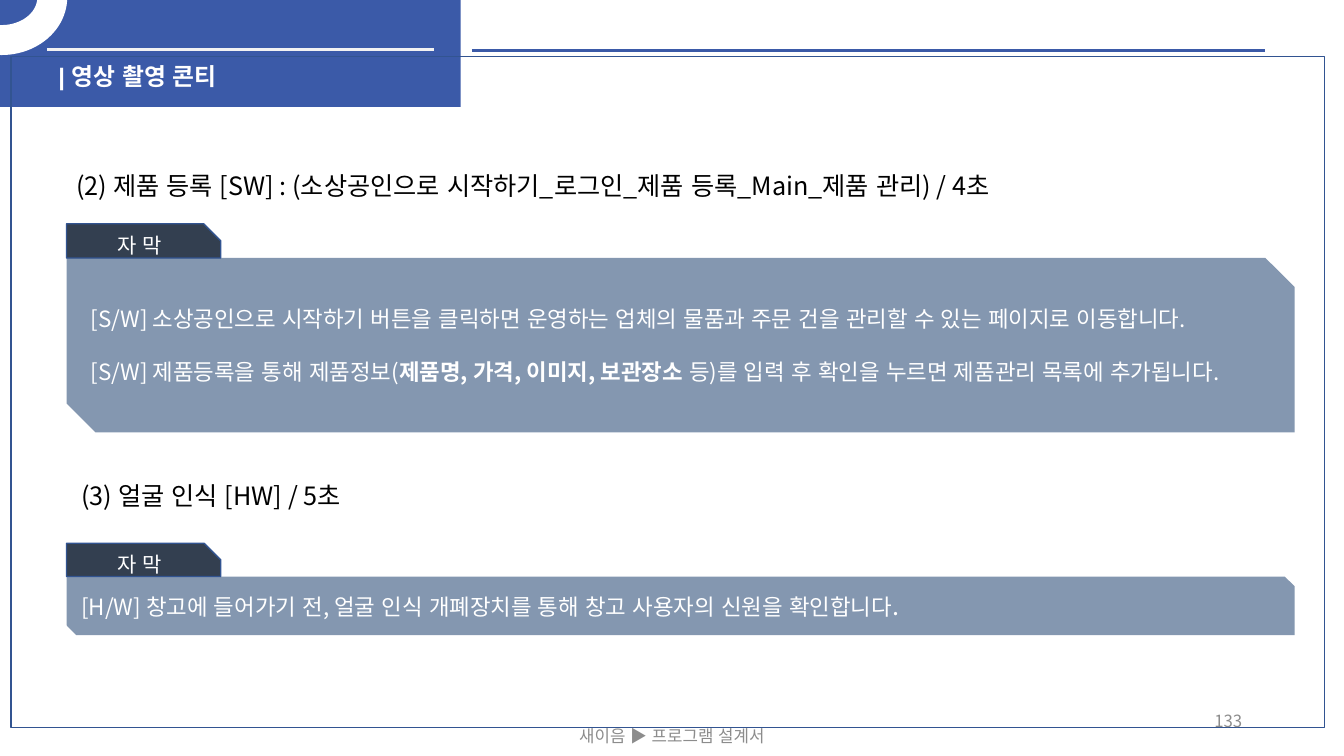
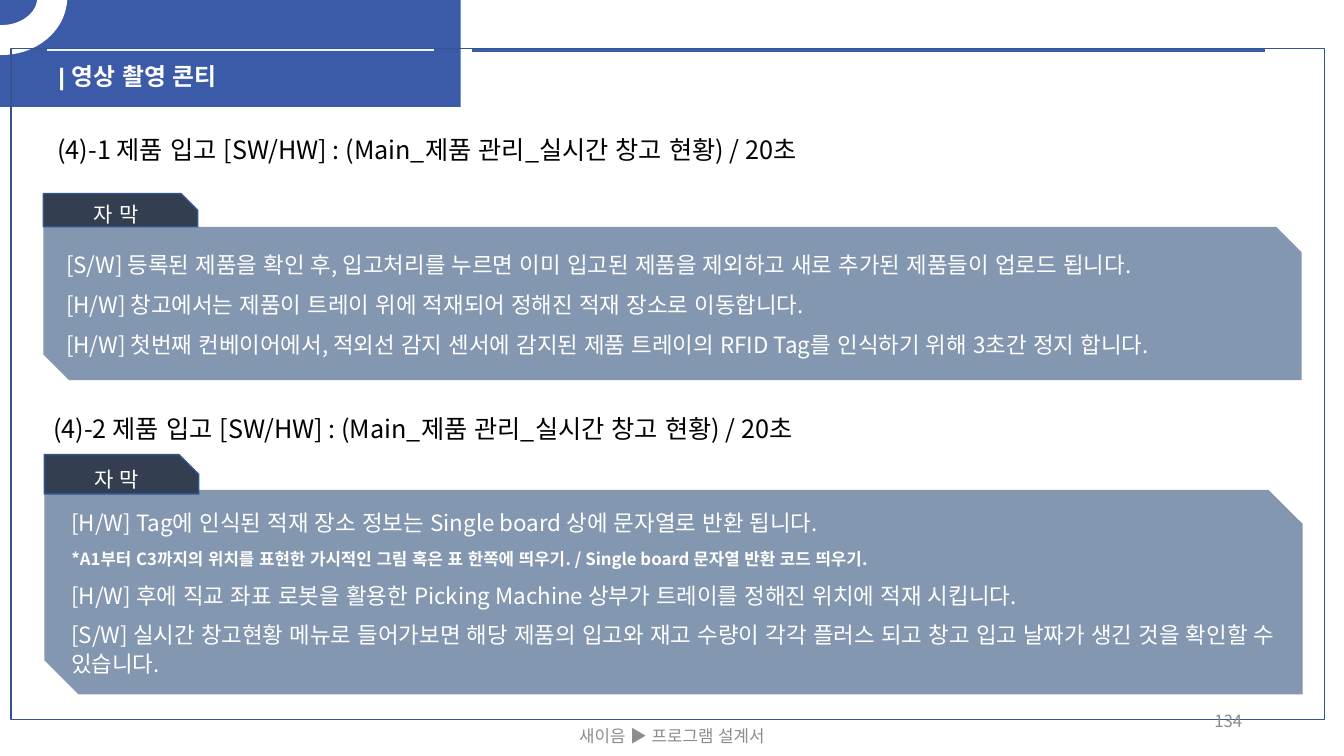
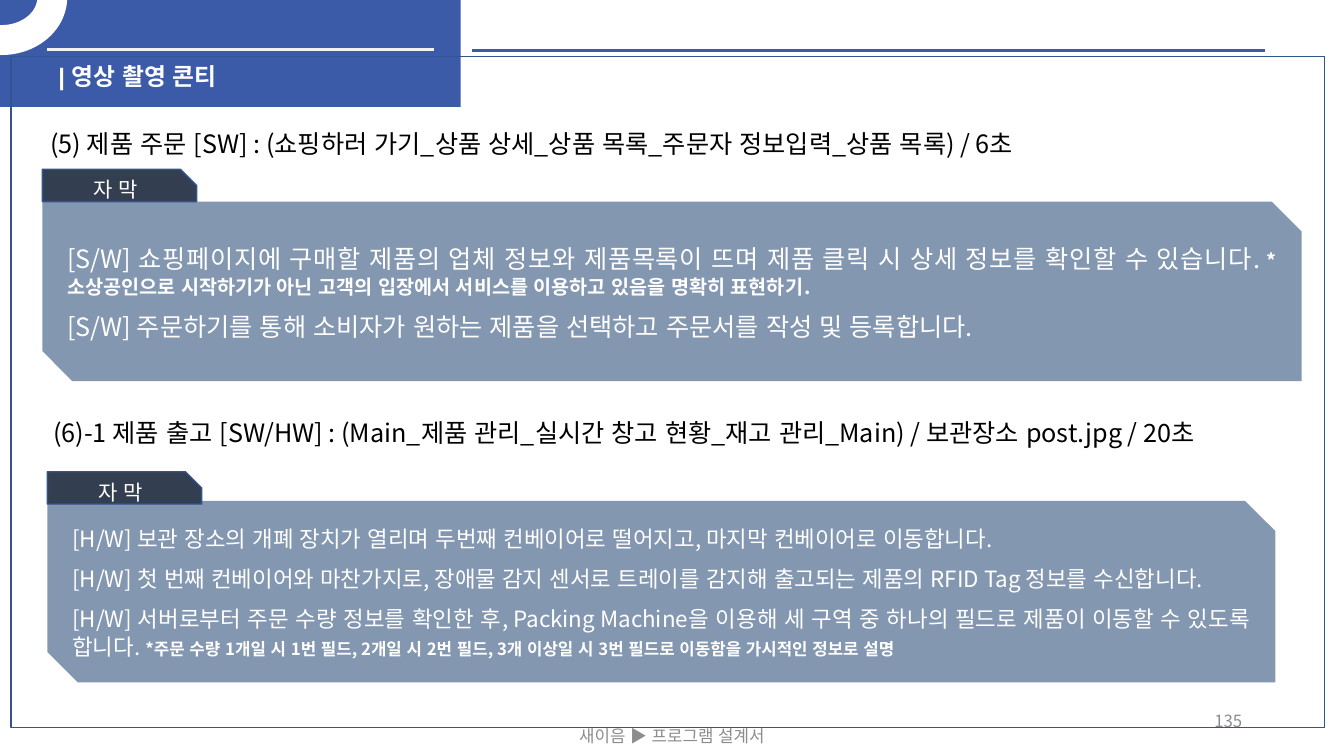
from lxml import etree
from pptx import Presentation
from pptx.dml.color import RGBColor
from pptx.enum import lang, shapes, text
from pptx.oxml import ns
from pptx.util import Inches, Pt

SANS = "Noto Sans CJK KR"
BLUE, EDGE, NAVY, SLATE = "3B5AA8", "325491", "333F50", "8497B0"
WHITE, PALE, GRAY, BLACK = "FFFFFF", "F2F2F2", "8C8C8C", "000000"
KIND, ALIGN = shapes.MSO_SHAPE, text.PP_ALIGN
TOP, MIDDLE = text.MSO_ANCHOR.TOP, text.MSO_ANCHOR.MIDDLE

TITLE = "| 영상 촬영 콘티"
FOOTER = "새이음 ▶ 프로그램 설계서"
TAB = "자 막"
FIRST = 133
TAB_W, HEAD_H = 1.53, 0.4
PLAIN = dict(align=ALIGN.LEFT, after=19)
SPREAD = dict(align=ALIGN.JUSTIFY, after=8, lead=1.07)

# Each paragraph is a list of runs: (text, size, bold).
SLIDES = [
    dict(frame=0.56, scenes=[
        dict(head="(2) 제품 등록 [SW] : (소상공인으로 시작하기_로그인_제품 등록_Main_제품 관리) / 4초",
             spot=(0.66, 1.64), tab=(2.22, 0.34), box=(0.66, 2.56, 12.18, 1.73), style=PLAIN,
             body=[
                 [("[S/W] 소상공인으로 시작하기 버튼을 클릭하면 운영하는 업체의 물품과 주문 건을 관리할 수 있는 페이지로 이동합니다.", 16, False)],
                 [("[S/W] 제품등록을 통해 제품정보(", 16, False),
                  ("제품명, 가격, 이미지, 보관장소", 16, True),
                  (" 등)를 입력 후 확인을 누르면 제품관리 목록에 추가됩니다.", 16, False)],
             ]),
        dict(head="(3) 얼굴 인식 [HW] / 5초",
             spot=(0.71, 4.72), tab=(5.39, 0.33), box=(0.66, 5.72, 12.18, 0.58), style=PLAIN,
             body=[
                 [("[H/W] 창고에 들어가기 전, 얼굴 인식 개폐장치를 통해 창고 사용자의 신원을 확인합니다", 16, False),
                  (".", 18, False)],
             ]),
    ]),
    dict(frame=0.48, scenes=[
        dict(head="(4)-1 제품 입고 [SW/HW] : (Main_제품 관리_실시간 창고 현황) / 20초",
             spot=(0.47, 1.28), tab=(1.92, 0.33), box=(0.43, 2.25, 12.48, 1.52), style=SPREAD,
             body=[
                 [("[S/W] 등록된 제품을 확인 후, 입고처리를 누르면 이미 입고된 제품을 제외하고 새로 추가된 제품들이 업로드 됩니다.", 16, False)],
                 [("[H/W] 창고에서는 제품이 트레이 위에 적재되어 정해진 적재 장소로 이동합니다.", 16, False)],
                 [("[H/W] 첫번째 컨베이어에서, 적외선 감지 센서에 감지된 제품 트레이의 RFID Tag를 인식하기 위해 3초간 정지 합니다.", 16, False)],
             ]),
        dict(head="(4)-2 제품 입고 [SW/HW] : (Main_제품 관리_실시간 창고 현황) / 20초",
             spot=(0.43, 4.05), tab=(4.51, 0.39), box=(0.44, 4.86, 12.48, 2.03), style=SPREAD,
             body=[
                 [("[H/W] Tag에 인식된 적재 장소 정보는 Single board 상에 문자열로 반환 됩니다.", 16, False)],
                 [("*A1부터 C3까지의 위치를 표현한 가시적인 그림 혹은 표 한쪽에 띄우기. / Single board 문자열 반환 코드 띄우기.", 12, True)],
                 [("[H/W] 후에 직교 좌표 로봇을 활용한 Picking Machine 상부가 트레이를 정해진 위치에 적재 시킵니다.", 16, False)],
                 [("[S/W] 실시간 창고현황 메뉴로 들어가보면 해당 제품의 입고와 재고 수량이 각각 플러스 되고 창고 입고 날짜가 생긴 것을 확인할 수 있습니다.", 16, False)],
             ]),
    ]),
    dict(frame=0.56, scenes=[
        dict(head="(5) 제품 주문 [SW] : (쇼핑하러 가기_상품 상세_상품 목록_주문자 정보입력_상품 목록) / 6초",
             spot=(0.4, 1.22), tab=(1.68, 0.32), box=(0.42, 2, 12.49, 1.78), style=SPREAD,
             body=[
                 [("[S/W] 쇼핑페이지에 구매할 제품의 업체 정보와 제품목록이 뜨며 제품 클릭 시 상세 정보를 확인할 수 있습니다. ", 18, False),
                  ("*소상공인으로 시작하기가 아닌 고객의 입장에서 서비스를 이용하고 있음을 명확히 표현하기.", 14, True)],
                 [("[S/W] 주문하기를 통해 소비자가 원하는 제품을 선택하고 주문서를 작성 및 등록합니다.", 18, False)],
             ]),
        dict(head="(6)-1 제품 출고 [SW/HW] : (Main_제품 관리_실시간 창고 현황_재고 관리_Main) / 보관장소 post.jpg / 20초",
             spot=(0.43, 4.09), tab=(4.68, 0.32), box=(0.47, 4.97, 12.18, 1.8), style=SPREAD,
             body=[
                 [("[H/W] 보관 장소의 개폐 장치가 열리며 두번째 컨베이어로 떨어지고, 마지막 컨베이어로 이동합니다.", 16, False)],
                 [("[H/W] 첫 번째 컨베이어와 마찬가지로, 장애물 감지 센서로 트레이를 감지해 출고되는 제품의 RFID Tag 정보를 수신합니다.", 16, False)],
                 [("[H/W] 서버로부터 주문 수량 정보를 확인한 후, Packing Machine을 이용해 세 구역 중 하나의 필드로 제품이 이동할 수 있도록 합니다. ", 16, False),
                  ("*주문 수량 1개일 시 1번 필드, 2개일 시 2번 필드, 3개 이상일 시 3번 필드로 이동함을 가시적인 정보로 설명", 12, True)],
             ]),
    ]),
]


def color(code):
    return RGBColor.from_string(code)


def write(shape, paras, ink, align=ALIGN.LEFT, anchor=MIDDLE, face=SANS, after=0, lead=None):
    """Fill a shape with paragraphs, each a list of (text, size, bold) runs."""
    frame = shape.text_frame
    frame.word_wrap = True
    frame.auto_size = text.MSO_AUTO_SIZE.NONE
    frame.vertical_anchor = anchor
    for i, runs in enumerate(paras):
        para = frame.add_paragraph() if i else frame.paragraphs[0]
        para.alignment = align
        para.space_before = Pt(0)
        para.space_after = Pt(after if lead or i < len(paras) - 1 else 0)
        if lead:
            para.line_spacing = lead
        for words, size, bold in runs:
            run = para.add_run()
            run.text = words
            font = run.font
            font.size, font.bold, font.name = Pt(size), bold, face
            font.color.rgb = color(ink)
            font.language_id = lang.MSO_LANGUAGE_ID.KOREAN
            asian = etree.SubElement(run.font._element, ns.qn("a:ea"))
            asian.set("typeface", SANS)


def label(slide, at, words, size, ink, align=ALIGN.LEFT, anchor=MIDDLE):
    box = slide.shapes.add_textbox(*map(Inches, at))
    write(box, [[(words, size, False)]], ink, align, anchor)
    return box


def block(slide, kind, at, fill=None, edge=None):
    shape = slide.shapes.add_shape(kind, *map(Inches, at))
    shape.shadow.inherit = False
    if fill:
        shape.fill.solid()
        shape.fill.fore_color.rgb = color(fill)
    else:
        shape.fill.background()
    if edge:
        shape.line.color.rgb = color(edge)
        shape.line.width = Pt(1)
    else:
        shape.line.fill.background()
    return shape


def rule(slide, left, right, y, ink):
    line = slide.shapes.add_connector(
        shapes.MSO_CONNECTOR.STRAIGHT, Inches(left), Inches(y), Inches(right), Inches(y))
    line.line.color.rgb = color(ink)
    line.line.width = Pt(2.25)
    etree.SubElement(line.element.spPr, ns.qn("a:effectLst"))
    return line


def band(slide, layout):
    """Draw the header band and footer, then move them to the layout."""
    parts = [
        rule(slide, 4.68, 12.55, 0.5, BLUE),
        block(slide, KIND.RECTANGLE, (0, -0.03, 4.57, 1.09), BLUE),
        rule(slide, 0.47, 4.3, 0.49, PALE),
    ]
    arc = block(slide, KIND.BLOCK_ARC, (-0.63, -0.59, 1.29, 1.13), WHITE, WHITE)
    for i, value in enumerate((96.95, 0, 0.25)):
        arc.adjustments[i] = value
    arc.element.spPr.xfrm.set("flipV", "1")
    foot = label(slide, (5.08, 7.1, 3.17, 0.4), FOOTER, 12, GRAY, ALIGN.CENTER)
    for part in parts + [arc, foot]:
        layout.shapes.element.append(part.element)


def scene(slide, data):
    """Draw a scene heading with its caption box and tab."""
    left, top = data["spot"]
    label(slide, (left, top, 12.5, HEAD_H), data["head"], 18, BLACK, anchor=TOP)
    box = block(slide, KIND.SNIP_2_DIAG_RECTANGLE, data["box"], SLATE)
    write(box, data["body"], WHITE, **data["style"])
    top, high = data["tab"]
    tab = block(slide, KIND.SNIP_1_RECTANGLE, (data["box"][0], top, TAB_W, high), NAVY, EDGE)
    tab.adjustments[0] = 0.5
    write(tab, [[(TAB, 15, False)]], WHITE, ALIGN.CENTER)


def main():
    deck = Presentation()
    deck.slide_width, deck.slide_height = Inches(13.33), Inches(7.5)
    layout = deck.slide_layouts[5]
    for i, data in enumerate(SLIDES):
        slide = deck.slides.add_slide(layout)
        if i == 0:
            band(slide, layout)
        title = slide.shapes.title
        title.left, title.top, title.width, title.height = map(Inches, (0.48, 0.56, 3.54, 0.56))
        write(title, [[(TITLE, 17, True)]], WHITE, anchor=TOP, face="Arial")
        block(slide, KIND.RECTANGLE, (0.11, data["frame"], 13.03, 6.66), edge=EDGE)
        label(slide, (9.42, 6.95, 3, 0.4), str(FIRST + i), 12, GRAY, ALIGN.RIGHT)
        for part in data["scenes"]:
            scene(slide, part)
    deck.save("out.pptx")


if __name__ == "__main__":
    main()
